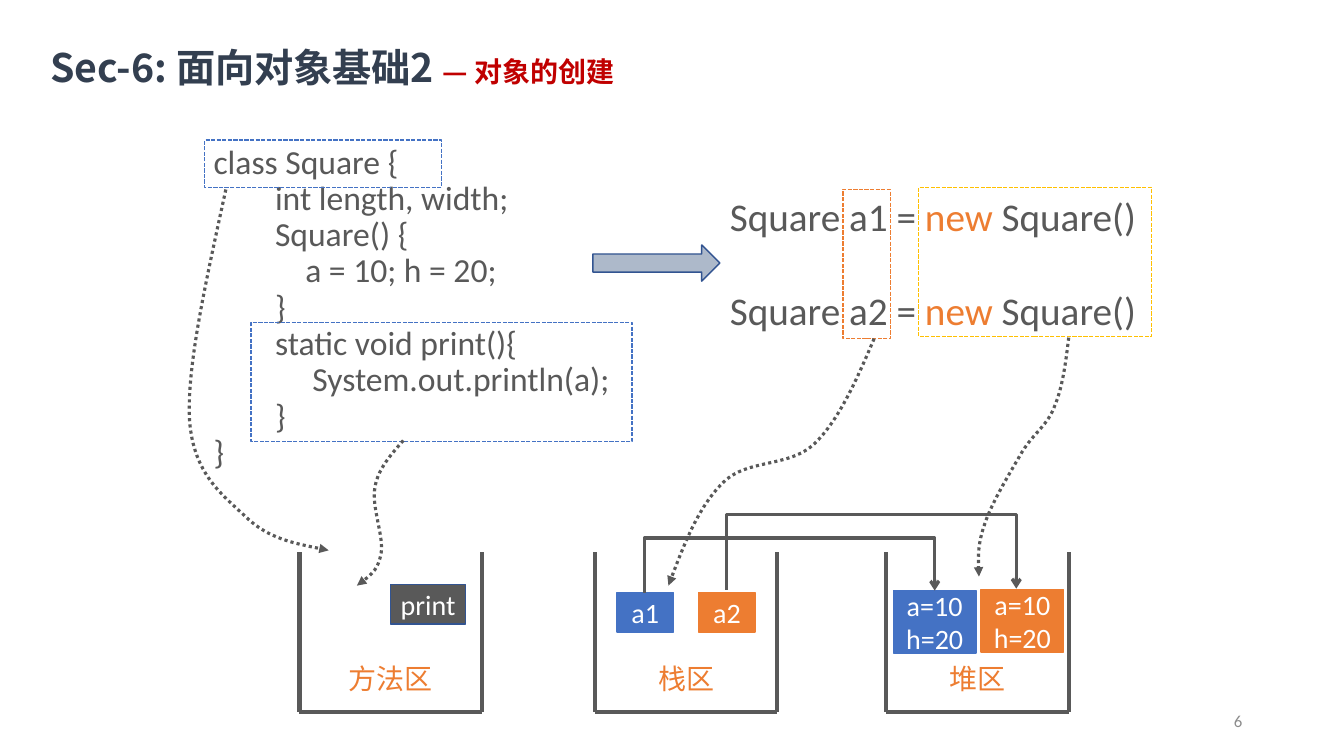
from dataclasses import dataclass

from pptx import Presentation
from pptx.dml.color import RGBColor
from pptx.enum.dml import MSO_LINE
from pptx.enum.shapes import MSO_CONNECTOR, MSO_SHAPE
from pptx.enum.text import MSO_ANCHOR, PP_ALIGN
from pptx.oxml.ns import qn
from pptx.util import Inches, Pt
from lxml import etree

STRAIGHT, ELBOW = MSO_CONNECTOR.STRAIGHT, MSO_CONNECTOR.ELBOW
RECTANGLE, RIGHT_ARROW = MSO_SHAPE.RECTANGLE, MSO_SHAPE.RIGHT_ARROW
TOP, MIDDLE = MSO_ANCHOR.TOP, MSO_ANCHOR.MIDDLE
LEFT, CENTER, RIGHT = PP_ALIGN.LEFT, PP_ALIGN.CENTER, PP_ALIGN.RIGHT
DASH, DOT = MSO_LINE.SQUARE_DOT, MSO_LINE.ROUND_DOT


@dataclass(frozen=True)
class Theme:
    latin: str = "Calibri"
    chinese: str = "Noto Sans CJK SC"
    ink: str = "595959"
    title: str = "333F50"
    red: str = "C00000"
    orange: str = "ED7D31"
    blue: str = "4472C4"
    yellow: str = "FFC000"
    edge: str = "325491"
    arrow: str = "ADB9CA"
    white: str = "FFFFFF"
    page_number: str = "8C8C8C"
    big: int = 28
    code: int = 24
    label: int = 20
    small: int = 12


THEME = Theme()

# Each line of the class with its indent in inches.
CODE = [("class Square {", 0), ("int length, width;", 0.61), ("Square() {", 0.61),
        ("a = 10; h = 20;", 0.91), ("}", 0.61), ("static void print(){", 0.61),
        ("System.out.println(a);", 0.98), ("}", 0.61), ("}", 0)]


def add_span(para, text, size=THEME.label, color=THEME.ink, font=THEME.latin, bold=False):
    span = para.add_run()
    span.text = text
    span.font.size, span.font.bold, span.font.name = Pt(size), bold, font
    span.font.color.rgb = RGBColor.from_string(color)
    etree.SubElement(span.font._element, qn("a:ea")).set("typeface", font)


def write(shape, paragraphs, align=LEFT, anchor=TOP, wrap=True, spacing=None, **span_format):
    """Fill a shape; a paragraph is a list of (text, format overrides) spans."""
    frame = shape.text_frame
    frame.word_wrap, frame.vertical_anchor = wrap, anchor
    for index, spans in enumerate(paragraphs):
        para = frame.add_paragraph() if index else frame.paragraphs[0]
        para.alignment, para.line_spacing = align, spacing
        for text, overrides in spans:
            add_span(para, text, **{**span_format, **overrides})
    return frame


def add_text(shapes, box, paragraphs, **text_format):
    return write(shapes.add_textbox(*map(Inches, box)), paragraphs, **text_format)


def set_line(shape, color, width, dash=None, head=None):
    shape.line.color.rgb = RGBColor.from_string(color)
    shape.line.width = Pt(width)
    if dash:
        shape.line.dash_style = dash
    if head:
        etree.SubElement(shape.line._get_or_add_ln(), qn("a:tailEnd")).set("type", head)


def add_shape(shapes, box, line, fill=None, kind=RECTANGLE, dash=None):
    shape = shapes.add_shape(kind, *map(Inches, box))
    shape.shadow.inherit = False
    if fill:
        shape.fill.solid()
        shape.fill.fore_color.rgb = RGBColor.from_string(fill)
    else:
        shape.fill.background()
    set_line(shape, line, 1, dash)
    return shape


def add_line(shapes, start, end, width, kind=STRAIGHT, head=None):
    line = shapes.add_connector(kind, *map(Inches, (*start, *end)))
    set_line(line, THEME.ink, width, head=head)
    etree.SubElement(line._element.spPr, qn("a:effectLst"))
    return line


def add_bridge(shapes, start, end, rise):
    """Elbow arrow that climbs from start, crosses and drops onto end."""
    (x1, y1), (x2, y2) = start, end
    drop, reach = y1 - y2, x2 - x1
    left, top = (x1 + x2 - drop) / 2, (y1 + y2 - reach) / 2
    bridge = add_line(shapes, (left, top), (left + drop, top + reach), 2.25, ELBOW, "arrow")
    properties = bridge._element.spPr
    frame = properties.find(qn("a:xfrm"))
    for name, value in (("rot", "5400000"), ("flipH", "1"), ("flipV", "1")):
        frame.set(name, value)
    guides = properties.find(qn("a:prstGeom")).get_or_add_avLst()
    guide = etree.SubElement(guides, qn("a:gd"))
    guide.set("name", "adj1")
    guide.set("fmla", f"val {round(rise / drop * 100000)}")


def add_curve(shapes, start, points):
    """Dotted arrow through Bezier points, three to a segment."""
    builder = shapes.build_freeform(*map(Inches, start))
    builder.add_line_segments([(Inches(x), Inches(y)) for x, y in points], close=False)
    curve = builder.convert_to_shape()
    curve.shadow.inherit = False
    curve.fill.background()
    set_line(curve, THEME.ink, 2.25, DOT, "triangle")
    steps = list(curve._element.iter(qn("a:lnTo")))
    for first in range(0, len(steps), 3):
        bend = etree.Element(qn("a:cubicBezTo"))
        steps[first].addprevious(bend)
        for step in steps[first:first + 3]:
            bend.append(step[0])
            step.getparent().remove(step)


def draw_title(page, box):
    title = page.shapes.title
    title.left, title.top, title.width, title.height = map(Inches, box)
    frame = write(title, [[("Sec-6: 面向对象基础2 ", {}),
                           ("— 对象的创建", {"size": THEME.label, "color": THEME.red})]],
                  spacing=1, size=THEME.big, color=THEME.title, font=THEME.chinese, bold=True)
    frame.margin_left = frame.margin_right = frame.margin_bottom = 0
    frame.margin_top = Inches(0.01)


def draw_class(shapes, box):
    left, top, _, _ = box
    frame = add_text(shapes, box, [[(text, {})] for text, _ in CODE],
                     spacing=0.9, size=THEME.code)
    for para, (_, indent) in zip(frame.paragraphs, CODE):
        para._p.get_or_add_pPr().set("marL", str(Inches(indent)))
    add_shape(shapes, (left + 0.47, top + 1.81, 3.78, 1.18), THEME.blue, dash=DASH)
    add_shape(shapes, (left + 0.01, top, 2.35, 0.47), THEME.blue, dash=DASH)


def draw_creation(shapes, box):
    left, top, width, height = box
    for index, name in enumerate(("a1", "a2")):
        add_text(shapes, (left, top + 0.93 * index, width, 0.57),
                 [[(f"Square {name} = ", {}), ("new", {"color": THEME.orange}),
                   (" Square()", {})]], wrap=False, size=THEME.big)
    add_shape(shapes, (left + 1.22, top + 0.02, 0.47, height), THEME.orange, dash=DASH)
    add_shape(shapes, (left + 1.97, top, 2.31, height), THEME.yellow, dash=DASH)


def draw_memory_area(shapes, box, name, cells):
    """Open container with a caption; cells are (offset box, lines, fill, line)."""
    left, top, width, height = box
    right, bottom = left + width, top + height
    container = shapes.add_group_shape().shapes
    corners = [(left, top), (left, bottom), (right, bottom), (right, top)]
    for start, end in zip(corners, corners[1:]):
        add_line(container, start, end, 3)
    add_text(container, (left, top + 1.03, width, 0.44), [[(name, {})]], align=CENTER,
             color=THEME.orange, font=THEME.chinese)
    for (x, y, w, h), lines, fill, edge in cells:
        cell = add_shape(shapes, (left + x, top + y, w, h), edge, fill)
        write(cell, [[(line, {})] for line in lines], align=CENTER, anchor=MIDDLE,
              wrap=False, color=THEME.white)


def draw_arrows(shapes):
    add_curve(shapes, (4, 4.37), [(3.88, 4.51), (3.75, 4.65), (3.72, 4.83), (3.68, 5.02),
              (3.81, 5.32), (3.78, 5.49), (3.75, 5.65), (3.65, 5.73), (3.54, 5.81)])
    add_curve(shapes, (2.24, 1.88), [(2.05, 2.76), (1.85, 3.63), (1.88, 4.17), (1.92, 4.71),
              (2.21, 4.91), (2.44, 5.13), (2.66, 5.34), (2.96, 5.4), (3.26, 5.46)])
    add_curve(shapes, (8.67, 3.36), [(8.5, 3.76), (8.32, 4.17), (8.08, 4.4), (7.83, 4.64),
              (7.42, 4.55), (7.18, 4.78), (6.94, 5.01), (6.78, 5.41), (6.63, 5.81)])
    add_curve(shapes, (10.6, 3.35), [(10.57, 3.6), (10.54, 3.84), (10.46, 4.03), (10.39, 4.22),
              (10.26, 4.29), (10.14, 4.48), (10.03, 4.67), (9.84, 4.98), (9.77, 5.19),
              (9.7, 5.39), (9.7, 5.56), (9.71, 5.72)])
    add_bridge(shapes, (6.39, 5.88), (9.27, 5.86), 0.54)
    add_bridge(shapes, (7.21, 5.85), (10.08, 5.84), 0.76)


def main():
    deck = Presentation()
    deck.slide_width, deck.slide_height = Inches(13.33), Inches(7.5)
    page = deck.slides.add_slide(deck.slide_layouts[5])
    shapes = page.shapes
    draw_title(page, (0.5, 0.42, 6.48, 0.48))
    draw_class(shapes, (2.02, 1.39, 4.86, 3.37))
    add_shape(shapes, (5.88, 2.43, 1.26, 0.36), THEME.edge, THEME.arrow, RIGHT_ARROW)
    draw_creation(shapes, (7.14, 1.86, 4.28, 1.48))
    blue, orange = (THEME.blue, THEME.blue), (THEME.orange, THEME.orange)
    fields = ["a=10", "h=20"]
    areas = [
        (2.97, "方法区", [((0.9, 0.32, 0.75, 0.39), ["print"], THEME.ink, THEME.edge)]),
        (5.9, "栈区", [((0.22, 0.4, 0.56, 0.39), ["a1"], *blue),
                      ((1.03, 0.4, 0.56, 0.39), ["a2"], *orange)]),
        (8.79, "堆区", [((0.07, 0.38, 0.82, 0.62), fields, *blue),
                       ((0.94, 0.37, 0.82, 0.62), fields, *orange)]),
    ]
    for left, name, cells in areas:
        draw_memory_area(shapes, (left, 5.48, 1.81, 1.58), name, cells)
    draw_arrows(shapes)
    add_text(shapes, (9.42, 6.95, 3, 0.4), [[("6", {})]], align=RIGHT, anchor=MIDDLE,
             size=THEME.small, color=THEME.page_number)
    deck.save("out.pptx")


if __name__ == "__main__":
    main()
